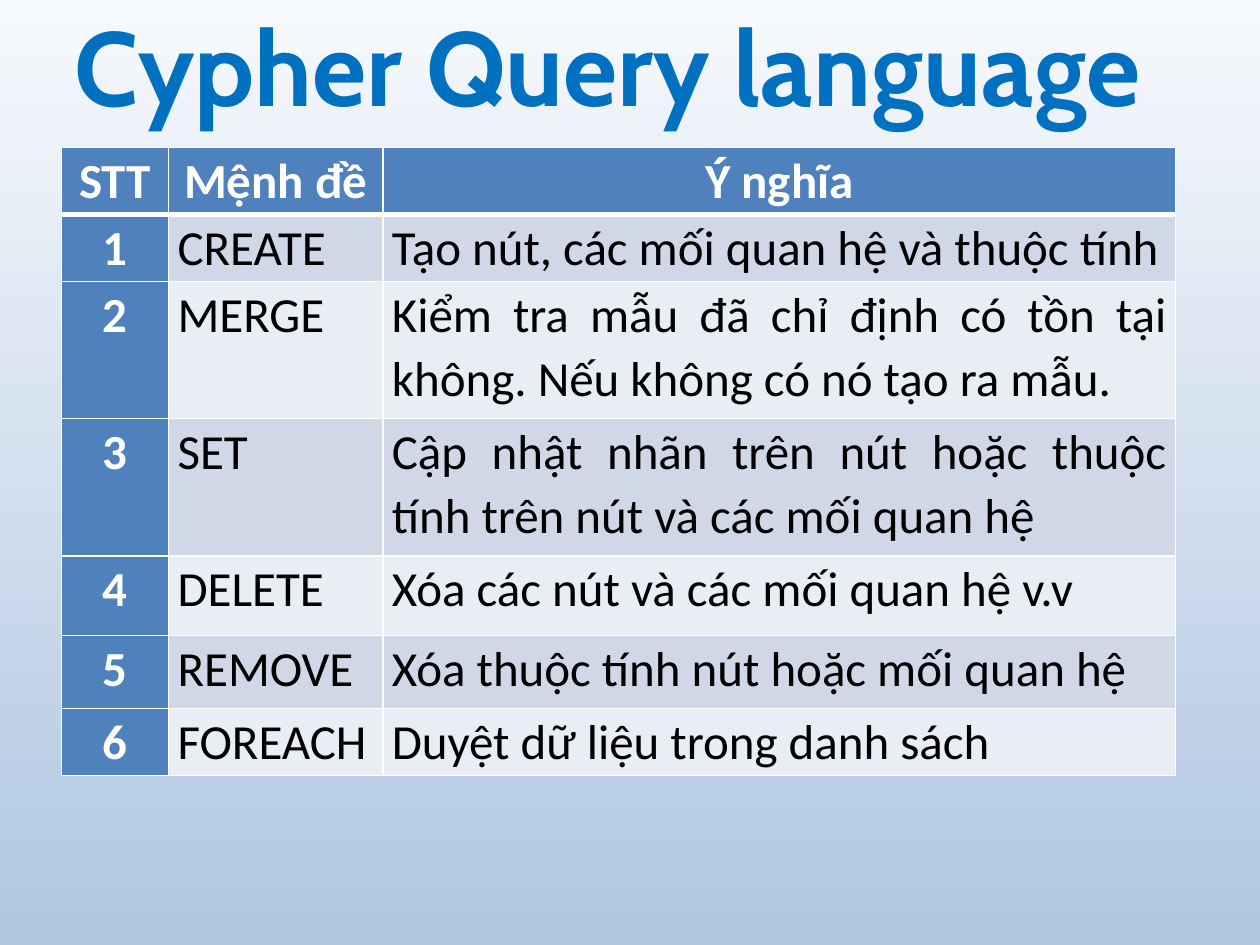
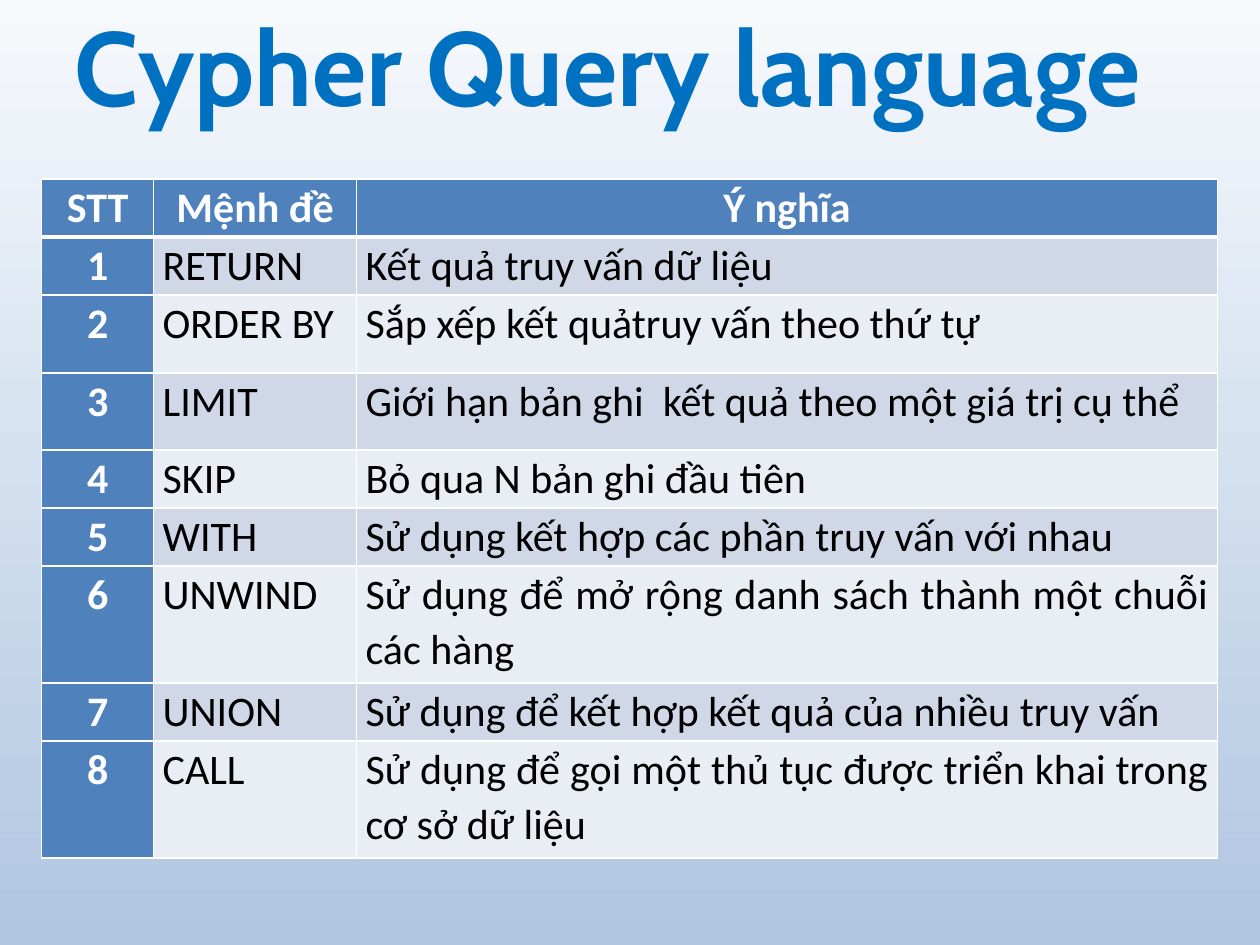
from lxml import etree
from pptx import Presentation
from pptx.dml.color import RGBColor
from pptx.enum.text import MSO_ANCHOR, MSO_AUTO_SIZE, PP_ALIGN
from pptx.oxml.ns import qn
from pptx.util import Cm, Pt

LEFT, CENTER, JUSTIFY = PP_ALIGN.LEFT, PP_ALIGN.CENTER, PP_ALIGN.JUSTIFY
MIDDLE, TOP = MSO_ANCHOR.MIDDLE, MSO_ANCHOR.TOP
NO_FIT = MSO_AUTO_SIZE.NONE
TITLE_ONLY = 5

TITLE = "Cypher Query language"
HEADINGS = ("STT", "Mệnh đề", "Ý nghĩa")
UPDATE_CLAUSES = [
    ("CREATE", "Tạo nút, các mối quan hệ và thuộc tính"),
    ("MERGE", "Kiểm tra mẫu đã chỉ định có tồn tại không. Nếu không có nó tạo ra mẫu."),
    ("SET", "Cập nhật nhãn trên nút hoặc thuộc tính trên nút và các mối quan hệ"),
    ("DELETE", "Xóa các nút và các mối quan hệ v.v"),
    ("REMOVE", "Xóa thuộc tính nút hoặc mối quan hệ"),
    ("FOREACH", "Duyệt dữ liệu trong danh sách"),
]
RESULT_CLAUSES = [
    ("RETURN", "Kết quả truy vấn dữ liệu"),
    ("ORDER BY", "Sắp xếp kết quảtruy vấn theo thứ tự"),
    ("LIMIT", "Giới hạn bản ghi  kết quả theo một giá trị cụ thể"),
    ("SKIP", "Bỏ qua N bản ghi đầu tiên"),
    ("WITH", "Sử dụng kết hợp các phần truy vấn với nhau"),
    ("UNWIND", "Sử dụng để mở rộng danh sách thành một chuỗi các hàng"),
    ("UNION", "Sử dụng để kết hợp kết quả của nhiều truy vấn"),
    ("CALL", "Sử dụng để gọi một thủ tục được triển khai trong cơ sở dữ liệu"),
]


def color(value):
    """Turn a hex string into a colour."""
    return RGBColor.from_string(value)


def apply(target, values):
    """Set each named attribute on the target."""
    for name, value in values.items():
        setattr(target, name, value)


class ClauseDeck:
    """Hold the style of the deck and the slide being filled."""

    blue, white, black = "4F81BD", "FFFFFF", "000000"
    title_blue = "0070C0"
    bands = ("D0D8E8", "E9EDF4")
    sky = ("F6F9FC", "B0C6E1")
    title_box = {"left": Cm(1.24), "top": Cm(-0.03), "width": Cm(22.86), "height": Cm(2.67)}
    title_frame = {"vertical_anchor": MIDDLE, "word_wrap": True, "auto_size": NO_FIT}
    cell_format = {"margin_left": Cm(0.18), "margin_right": Cm(0.18),
                   "margin_top": 0, "margin_bottom": 0, "vertical_anchor": TOP}
    cell_para = {"line_spacing": 1.07, "space_after": Pt(8)}

    def __init__(self):
        """Open a deck with the shared background."""
        self.deck = Presentation()
        apply(self.deck, {"slide_width": Cm(25.4), "slide_height": Cm(19.05)})
        fill = self.deck.slide_master.background.fill
        fill.gradient()
        fill.gradient_angle = 270
        for stop, shade in zip(fill.gradient_stops, self.sky):
            stop.color.rgb = color(shade)

    def add_page(self, title):
        """Start a slide with its title."""
        self.page = self.deck.slides.add_slide(self.deck.slide_layouts[TITLE_ONLY])
        box = self.page.shapes.title
        apply(box, self.title_box)
        apply(box.text_frame, self.title_frame)
        para = box.text_frame.paragraphs[0]
        para.alignment = LEFT
        self.add_span(para, title, "Cabin", 60, self.title_blue, True)

    def add_span(self, para, text, font, size, shade, bold):
        """Add one formatted run of text."""
        span = para.add_run()
        span.text = text
        apply(span.font, {"name": font, "size": Pt(size), "bold": bold})
        span.font.color.rgb = color(shade)

    def add_borders(self, cell, bottom):
        """Draw white cell edges with the given bottom width."""
        properties = cell._tc.get_or_add_tcPr()
        widths = {"a:lnL": 1, "a:lnR": 1, "a:lnT": 1, "a:lnB": bottom}
        for position, (tag, width) in enumerate(widths.items()):
            line = etree.Element(qn(tag), w=str(Pt(width)))
            fill = etree.SubElement(line, qn("a:solidFill"))
            etree.SubElement(fill, qn("a:srgbClr"), val=self.white)
            properties.insert(position, line)

    def fill_cell(self, cell, text, row, column, size):
        """Write and format a heading, number or body cell."""
        accented = row == 0 or column == 0
        apply(cell, self.cell_format)
        cell.fill.solid()
        cell.fill.fore_color.rgb = color(self.blue if accented else self.bands[(row - 1) % 2])
        self.add_borders(cell, 3 if row == 0 else 1)
        para = cell.text_frame.paragraphs[0]
        apply(para, {**self.cell_para, "alignment": CENTER if accented else JUSTIFY})
        self.add_span(para, text, "Calibri", size, self.white if accented else self.black, accented)

    def add_clauses(self, clauses, left, top, widths, heights, size):
        """Add a numbered table of clauses and meanings."""
        rows = [HEADINGS] + [(str(number), *clause) for number, clause in enumerate(clauses, 1)]
        table = self.page.shapes.add_table(
            len(rows), len(HEADINGS), Cm(left), Cm(top), Cm(sum(widths)), Cm(sum(heights))).table
        for column, width in zip(table.columns, widths):
            column.width = Cm(width)
        for row, height in zip(table.rows, heights):
            row.height = Cm(height)
        for row, texts in enumerate(rows):
            for column, text in enumerate(texts):
                self.fill_cell(table.cell(row, column), text, row, column, size)


def main():
    """Build both clause slides and save them."""
    slides = ClauseDeck()
    slides.add_page(TITLE)
    slides.add_clauses(UPDATE_CLAUSES, 1.24, 2.97, (2.16, 4.32, 15.98),
                       (1.35, 1.35, 2.77, 2.77, 1.6, 1.47, 1.35), 28)
    slides.add_page(TITLE)
    slides.add_clauses(RESULT_CLAUSES, 0.84, 3.61, (2.26, 4.09, 17.35),
                       (1.17, 1.17, 1.57, 1.55, 1.17, 1.17, 2.36, 1.17, 2.36), 24)
    slides.deck.save("out.pptx")


if __name__ == "__main__":
    main()
